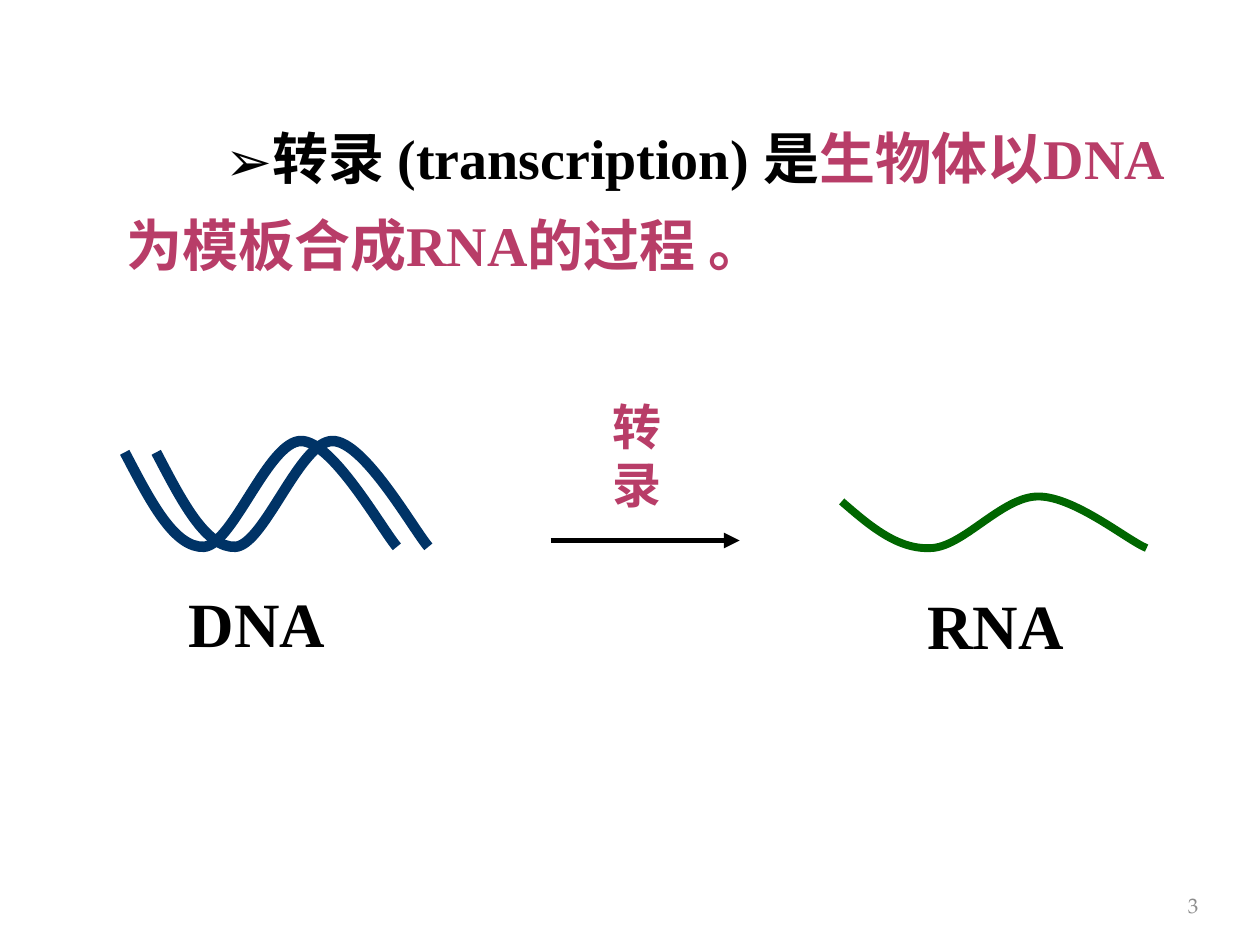
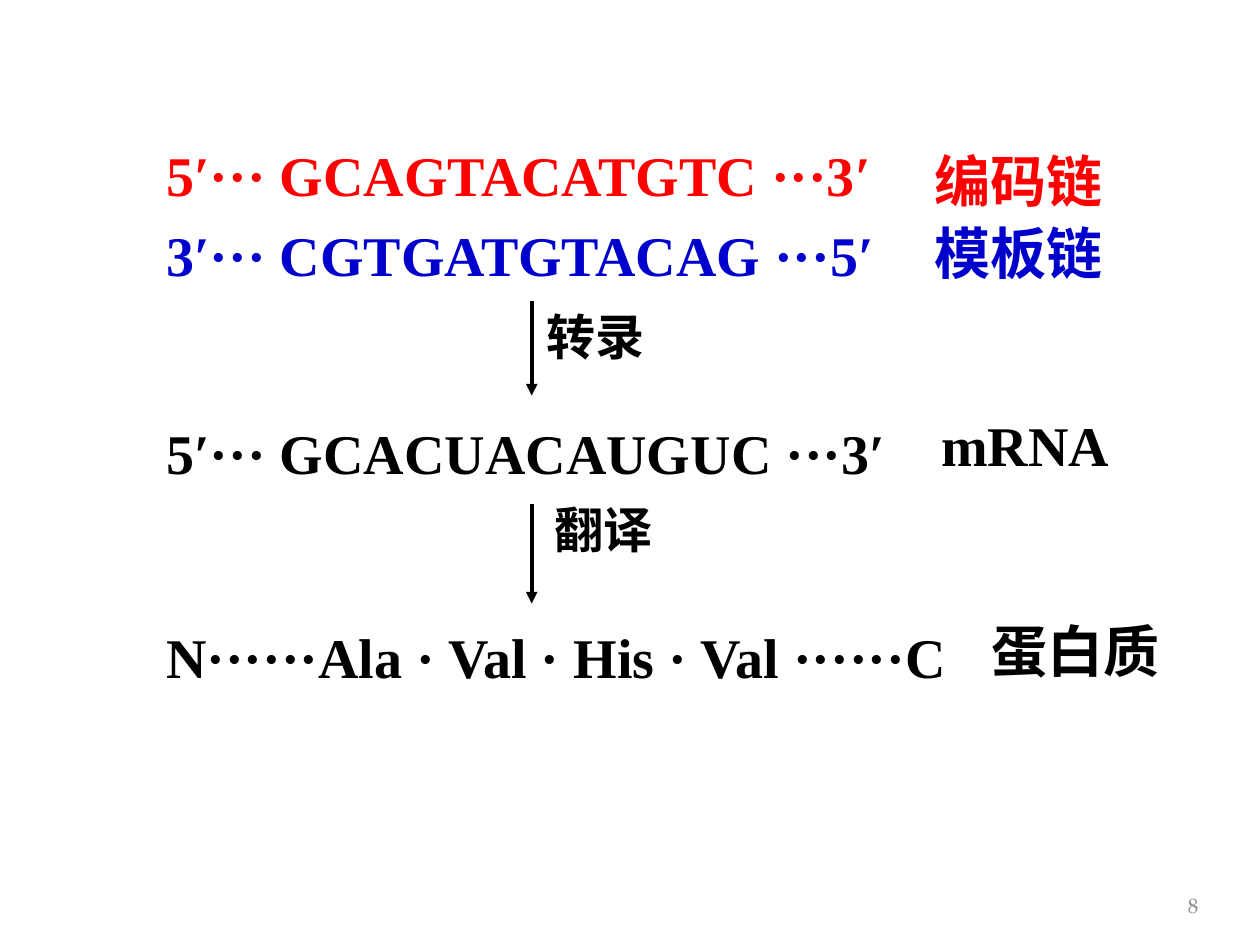
from dataclasses import dataclass

from lxml.etree import SubElement
from pptx import Presentation
from pptx.dml.color import RGBColor
from pptx.enum.shapes import MSO_CONNECTOR
from pptx.enum.text import MSO_ANCHOR, PP_ALIGN
from pptx.oxml.ns import qn
from pptx.util import Inches, Pt


@dataclass(frozen=True)
class Theme:
    black: str = "000000"
    berry: str = "B83D68"
    red: str = "FF0000"
    blue: str = "0000CC"
    navy: str = "003366"
    green: str = "006600"
    gray: str = "8C8C8C"
    serif: str = "Times New Roman"
    cjk: str = "Noto Sans CJK SC"
    number_font: str = "TeX Gyre Pagella"
    name_size: int = 36
    body_size: int = 32
    step_size: int = 28
    number_size: int = 12
    definition_leading: int = 50
    body_leading: int = 38
    step_leading: int = 33


theme = Theme()
presentation = Presentation()
presentation.slide_width, presentation.slide_height = Inches(10), Inches(7.5)

# Grid: 100 columns by 75 rows
COLUMN = presentation.slide_width / 100
ROW = presentation.slide_height / 75


def add_text(slide, cell, runs, size, font=theme.serif, bold=True, leading=None, bullet=None):
    """Place one paragraph; cell is column, row, columns, rows; leading marks Chinese text."""
    column, row, columns, rows = cell
    shape = slide.shapes.add_textbox(int(column * COLUMN), int(row * ROW),
                                     int(columns * COLUMN), int(rows * ROW))
    frame = shape.text_frame
    frame.word_wrap = True
    paragraph = frame.paragraphs[0]
    if leading:
        paragraph.line_spacing = Pt(leading)
    if bullet:
        properties = paragraph._p.get_or_add_pPr()
        properties.set("marL", "0")
        properties.set("indent", str(Inches(0.79)))
        SubElement(properties, qn("a:buFont")).set("typeface", theme.cjk)
        SubElement(properties, qn("a:buChar")).set("char", bullet)
    paragraph.font.name = font
    paragraph.font.size = Pt(size)
    paragraph.font.bold = bold
    east_asian = SubElement(paragraph.font._element, qn("a:ea"))
    east_asian.set("typeface", theme.cjk if leading else font)
    for text, color in runs:
        run = paragraph.add_run()
        run.text = text
        run.font.color.rgb = RGBColor.from_string(color)
    return frame


def add_arrow(slide, start, end, width):
    connector = slide.shapes.add_connector(
        MSO_CONNECTOR.STRAIGHT, int(start[0] * COLUMN), int(start[1] * ROW),
        int(end[0] * COLUMN), int(end[1] * ROW))
    connector.line.color.rgb = RGBColor.from_string(theme.black)
    connector.line.width = Pt(width)
    SubElement(connector.line._get_or_add_ln(), qn("a:tailEnd")).set("type", "triangle")
    SubElement(connector._element.spPr, qn("a:effectLst"))


blank = presentation.slide_layouts[6]
definition_slide = presentation.slides.add_slide(blank)
flow_slide = presentation.slides.add_slide(blank)

# Definition of transcription
definition = add_text(definition_slide, (6.7, 7.7, 88.2, 14.3),
                      [("转录 (transcription) 是", theme.black),
                       ("生物体以DNA为模板合成RNA的过程 。", theme.berry)],
                      theme.body_size, leading=theme.definition_leading, bullet="➢")
definition.margin_left = Inches(0.33)

# Transcription step from DNA to RNA
add_arrow(definition_slide, (43.7, 42.9), (58.7, 42.9), 3)
add_text(definition_slide, (47.6, 31.1, 7.5, 10.3), [("转录", theme.berry)],
         theme.step_size, font=theme.cjk, leading=theme.step_leading)
add_text(definition_slide, (72.6, 46.1, 15.8, 7), [("RNA", theme.black)], theme.name_size)
add_text(definition_slide, (14, 45.9, 14.2, 7), [("DNA", theme.black)], theme.name_size)

# Strands: Bézier anchors and handles, relative to a starting column
rna_curve = [(0, 39.8), (2.2, 41.7), (4.4, 43.6), (7, 43.5), (9.6, 43.5),
             (12.7, 39.4), (15.6, 39.4), (18.5, 39.4), (22.7, 42.9), (24.2, 43.5)]
dna_curve = [(0, 35.9), (2, 39.7), (3.9, 43.5), (6.3, 43.4), (8.6, 43.2),
             (11.4, 35), (14, 35), (16.5, 35), (20.4, 42), (24.1, 43.4)]
dna_curve[-2:] = [(20.4, 42), (21.6, 43.4)]
for start_column, curve, color, width in [(66.8, rna_curve, theme.green, 4.5),
                                          (12.4, dna_curve, theme.navy, 6),
                                          (9.9, dna_curve, theme.navy, 6)]:
    points = [((start_column + x) * COLUMN, y * ROW) for x, y in curve]
    builder = definition_slide.shapes.build_freeform(*points[0])
    builder.add_line_segments(points[1:], close=False)
    strand = builder.convert_to_shape()
    # Turn every three straight segments into one cubic curve
    segments = list(strand._element.iter(qn("a:lnTo")))
    for first in range(0, len(segments), 3):
        cubic = SubElement(segments[first].getparent(), qn("a:cubicBezTo"))
        for segment in segments[first:first + 3]:
            cubic.append(segment[0])
            segment.getparent().remove(segment)
    strand.shadow.inherit = False
    strand.fill.background()
    strand.line.color.rgb = RGBColor.from_string(color)
    strand.line.width = Pt(width)

# Sequences on the left, their names on the right
for row, sequence, name_column, name_row, name, color, leading in [
        (10.7, "5′··· GCAGTACATGTC ···3′", 73.2, 11.2, "编码链", theme.red, theme.body_leading),
        (17, "3′··· CGTGATGTACAG ···5′", 73.2, 16.9, "模板链", theme.blue, theme.body_leading),
        (32.7, "5′··· GCACUACAUGUC ···3′", 73.7, 32.1, "mRNA", theme.black, None),
        (48.9, "N······Ala · Val · His · Val ······C", 77.7, 48.5, "蛋白质", theme.black,
         theme.body_leading)]:
    add_text(flow_slide, (12.2, row, 78, 6.4), [(sequence, color)], theme.body_size)
    add_text(flow_slide, (name_column, name_row, 20.2, 6.4), [(name, color)],
             theme.body_size, leading=leading)

# Steps between the sequences
for top, bottom, label_column, label_row, label in [(23.9, 31.4, 42.4, 23.9, "转录"),
                                                    (40, 47.9, 43, 39.2, "翻译")]:
    add_arrow(flow_slide, (42.2, top), (42.2, bottom), 2.25)
    add_text(flow_slide, (label_column, label_row, 16, 5.7), [(label, theme.black)],
             theme.step_size, leading=theme.step_leading)

# Slide numbers
for slide, number in [(definition_slide, "3"), (flow_slide, "8")]:
    footer = add_text(slide, (73.6, 69.8, 22.5, 4), [(number, theme.gray)],
                      theme.number_size, font=theme.number_font, bold=False)
    footer.vertical_anchor = MSO_ANCHOR.MIDDLE
    footer.paragraphs[0].alignment = PP_ALIGN.RIGHT

presentation.save("out.pptx")
